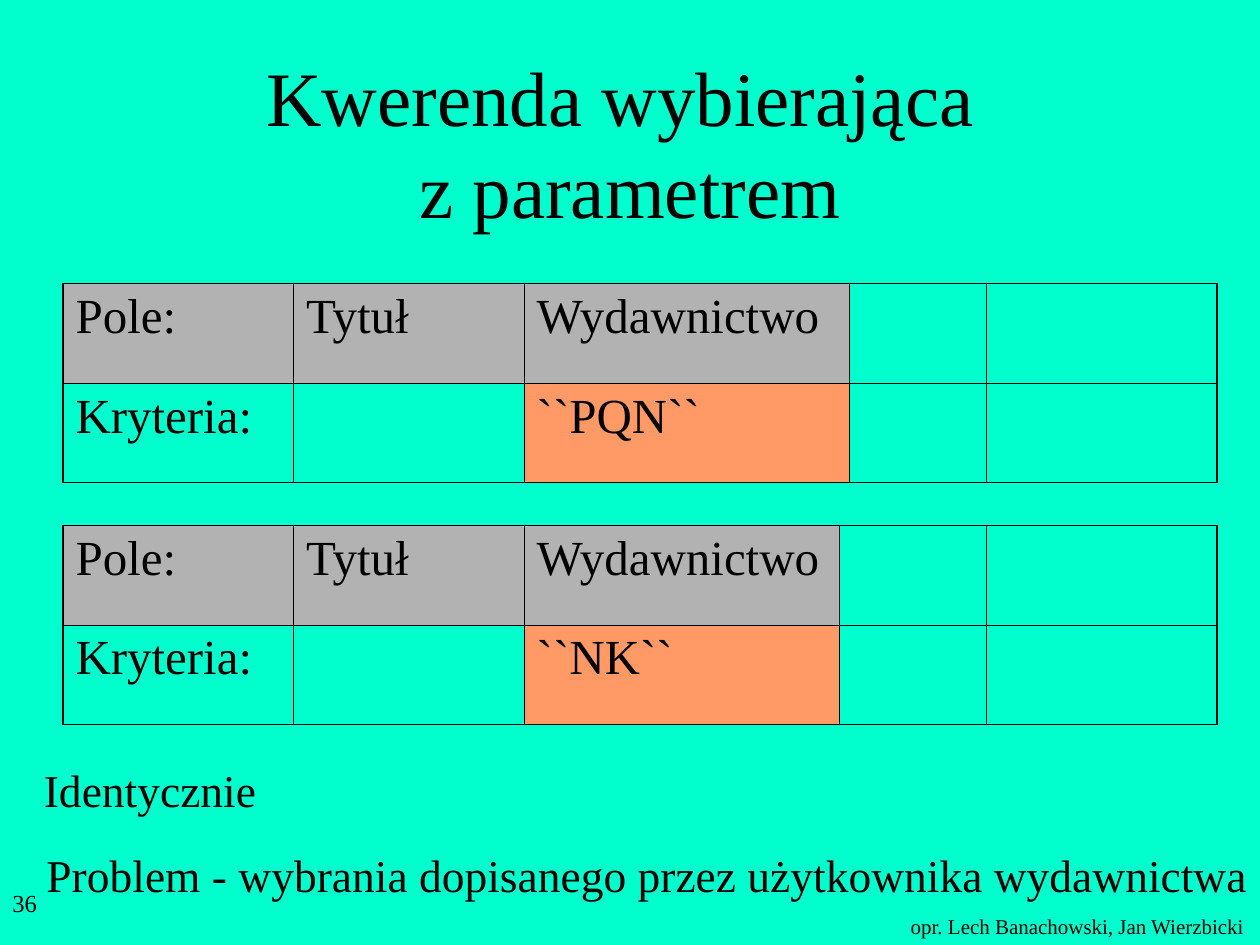
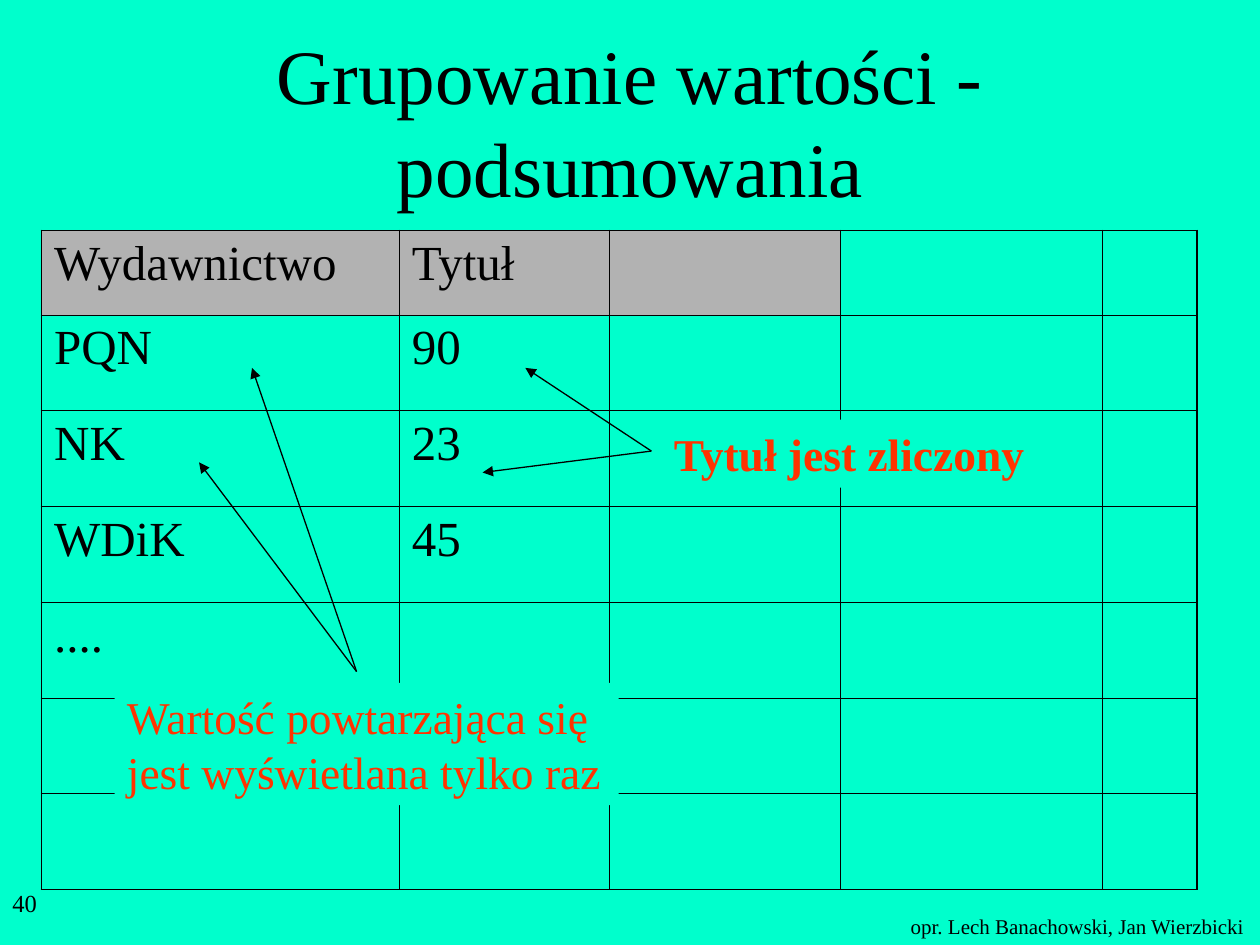
from pptx import Presentation
from pptx.dml.color import RGBColor
from pptx.enum.shapes import MSO_CONNECTOR
from pptx.enum.text import MSO_ANCHOR, MSO_AUTO_SIZE, PP_ALIGN
from pptx.oxml.ns import qn
from pptx.util import Inches, Pt
from lxml.etree import SubElement, Element

MINT = RGBColor(0x00, 0xFF, 0xCC)
BLACK = RGBColor(0x00, 0x00, 0x00)
GRAY = RGBColor(0xB2, 0xB2, 0xB2)
ORANGE = RGBColor(0xFF, 0x99, 0x66)
RED = RGBColor(0xFF, 0x33, 0x00)
FONT = "Times New Roman"
FOOTER = "opr. Lech Banachowski, Jan Wierzbicki"
THIN, THICK = Pt(0.45), Pt(1.08)


def set_font(p, size, color=BLACK, bold=False):
    p.font.name = FONT
    p.font.size = Pt(size)
    p.font.color.rgb = color
    p.font.bold = bold


def add_text(shapes, box, lines, size, color=BLACK, bold=False, wrap=False):
    sp = shapes.add_textbox(*map(Inches, box))
    tf = sp.text_frame
    tf.word_wrap = wrap
    tf.auto_size = MSO_AUTO_SIZE.NONE if wrap else MSO_AUTO_SIZE.SHAPE_TO_FIT_TEXT
    tf.text = lines
    for p in tf.paragraphs:
        set_font(p, size, color, bold)
    return sp


def add_slide(prs, title, title_top, number):
    """Add a slide with background, title, page number and footer."""
    s = prs.slides.add_slide(prs.slide_layouts[5])
    s.background.fill.solid()
    s.background.fill.fore_color.rgb = MINT
    add_text(s.shapes, (7.13, 7.2, 2.87, 0.3), FOOTER, 12)
    sp = s.shapes.title
    sp.left, sp.top, sp.width, sp.height = map(Inches, (0.75, title_top, 8.5, 1.25))
    tf = sp.text_frame
    tf.text = title
    tf.word_wrap = True
    tf.auto_size = MSO_AUTO_SIZE.NONE
    tf.vertical_anchor = MSO_ANCHOR.MIDDLE
    p = tf.paragraphs[0]
    p.alignment = PP_ALIGN.CENTER
    set_font(p, 44)
    add_text(s.shapes, (0, 7, 2.08, 0.5), number, 14, wrap=True)
    return s


def set_borders(cell, edges):
    """Draw the left, right, top and bottom borders; edges marks the thick ones."""
    tcPr = cell._tc.get_or_add_tcPr()
    for i, (side, thick) in enumerate(zip("LRTB", edges)):
        ln = Element(qn(f"a:ln{side}"), w=str(THICK if thick else THIN))
        fill = SubElement(ln, qn("a:solidFill"))
        SubElement(fill, qn("a:srgbClr"), val=str(BLACK))
        tcPr.insert(i, ln)


def add_grid(s, left, top, col_widths, row_heights, texts, fills):
    """Add a framed table; texts and fills map (row, column) to a value."""
    n_rows, n_cols = len(row_heights), len(col_widths)
    table = s.shapes.add_table(n_rows, n_cols, Inches(left), Inches(top),
                               Inches(sum(col_widths)), Inches(sum(row_heights))).table
    table.first_row = table.horz_banding = False
    for col, width in zip(table.columns, col_widths):
        col.width = Inches(width)
    for row, height in zip(table.rows, row_heights):
        row.height = Inches(height)
    for r in range(n_rows):
        for c in range(n_cols):
            cell = table.cell(r, c)
            cell.text = texts.get((r, c), "")
            set_font(cell.text_frame.paragraphs[0], 28)
            if (r, c) in fills:
                cell.fill.solid()
                cell.fill.fore_color.rgb = fills[r, c]
            else:
                cell.fill.background()
            set_borders(cell, (c == 0, c == n_cols - 1, r == 0, r == n_rows - 1))


def add_criteria(s, top, col_widths, criterion):
    texts = {(0, 0): "Pole:", (0, 1): "Tytuł", (0, 2): "Wydawnictwo",
             (1, 0): "Kryteria:", (1, 2): criterion}
    fills = {(0, c): GRAY for c in range(3)} | {(1, 2): ORANGE}
    add_grid(s, 0.5, top, col_widths, [0.79] * 2, texts, fills)


def add_callout(s, box, lines, start, targets, bold=False):
    """Group a filled label with arrows from start (relative to the box) to targets."""
    shapes = s.shapes.add_group_shape().shapes
    label = add_text(shapes, box, lines, 26, RED, bold)
    label.fill.solid()
    label.fill.fore_color.rgb = MINT
    x, y = box[0] + start[0], box[1] + start[1]
    for target in targets:
        arrow = shapes.add_connector(MSO_CONNECTOR.STRAIGHT,
                                     *map(Inches, (x, y, *target)))
        arrow.line.color.rgb = BLACK
        arrow.line.width = Pt(0.75)
        SubElement(arrow.line._get_or_add_ln(), qn("a:tailEnd"), type="triangle")
        SubElement(arrow._element.spPr, qn("a:effectLst"))


def build_parameter_query(prs):
    s = add_slide(prs, "Kwerenda wybierająca \vz parametrem", 0.5, "36")
    add_criteria(s, 2.25, (1.83, 1.83, 2.58, 1.09, 1.83), "``PQN``")
    add_criteria(s, 4.17, (1.83, 1.83, 2.5, 1.17, 1.83), "``NK``")
    add_text(s.shapes, (0.27, 6.67, 9.75, 0.54),
             "Problem - wybrania dopisanego przez użytkownika wydawnictwa", 26)
    add_text(s.shapes, (0.25, 6, 2, 0.54), "Identycznie", 26)


def build_grouping(prs):
    s = add_slide(prs, "Grupowanie wartości - podsumowania", 0.33, "40")
    rows = [("Wydawnictwo", "Tytuł"), ("PQN", "90"), ("NK", "23"), ("WDiK", "45"), ("....",)]
    texts = {(r, c): text for r, row in enumerate(rows) for c, text in enumerate(row)}
    fills = {(0, c): GRAY for c in range(3)}
    add_grid(s, 0.33, 1.83, (2.84, 1.67, 1.83, 2.08, 0.75), [0.67] + [0.76] * 6,
             texts, fills)
    add_callout(s, (5.25, 3.33, 3.03, 0.54), "Tytuł jest zliczony",
                (-0.08, 0.25), [(4.17, 2.92), (3.83, 3.75)], bold=True)
    add_callout(s, (0.91, 5.42, 4, 0.97),
                "Wartość powtarzająca się\njest wyświetlana tylko raz",
                (1.92, -0.09), [(2, 2.92), (1.58, 3.67)])


def main():
    prs = Presentation()
    prs.slide_width, prs.slide_height = Inches(10), Inches(7.5)
    build_parameter_query(prs)
    build_grouping(prs)
    prs.save("out.pptx")


if __name__ == "__main__":
    main()
